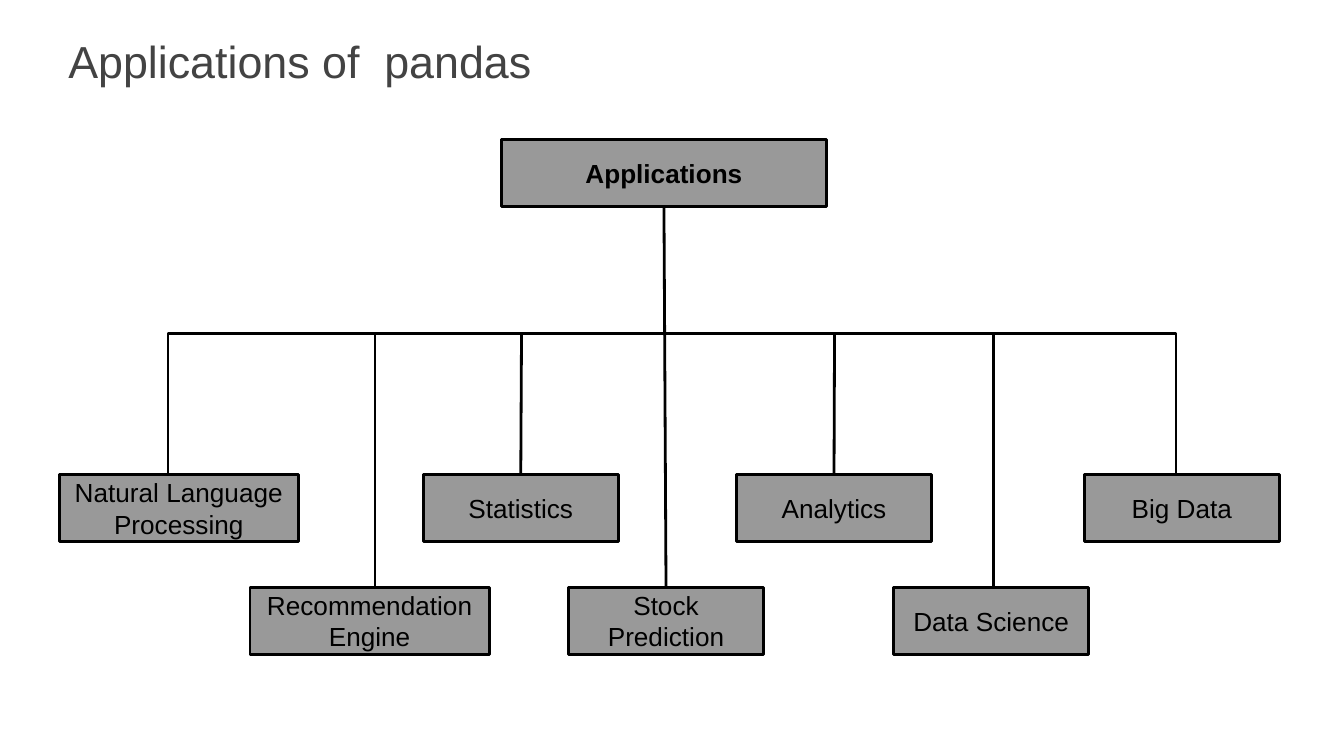
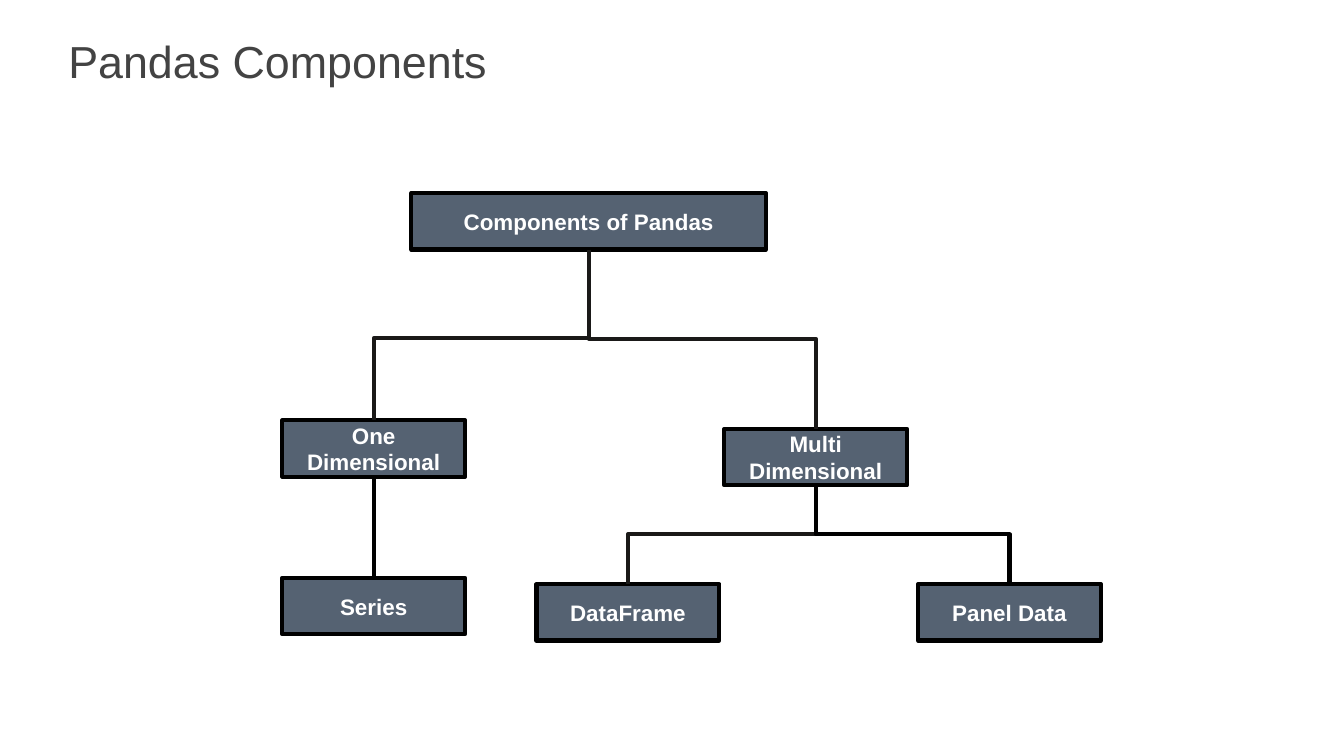
from dataclasses import dataclass

from lxml import etree
from pptx import Presentation
from pptx.dml.color import RGBColor
from pptx.enum import shapes, text
from pptx.oxml import ns
from pptx.util import Pt

APPLICATIONS = "Applications of  pandas"
APPLICATIONS_ROOT = ("Applications", 268.6, 74.9, 174.2)
UPPER_ROW, LOWER_ROW = 254.2, 314.6
BUS_LEFT, BUS_RIGHT, BUS_TOP = 90, 630, 178.6
WIDE, NARROW = 128.2, 104.4
FIELDS = [
    ("Natural Language Processing", 31.7, UPPER_ROW, WIDE),
    ("Recommendation Engine", 133.9, LOWER_ROW, WIDE),
    ("Statistics", 226.8, UPPER_ROW, NARROW),
    ("Stock Prediction", 304.6, LOWER_ROW, NARROW),
    ("Analytics", 394.6, UPPER_ROW, NARROW),
    ("Data Science", 478.8, LOWER_ROW, NARROW),
    ("Big Data", 581, UPPER_ROW, NARROW),
]
DROPS = {"Recommendation Engine": 200.9, "Statistics": 279.4,
         "Analytics": 447.1, "Data Science": 532.1}

COMPONENTS = "Pandas Components"
PARTS = [
    ("Components of Pandas", 220.4, 103.5, 190),
    ("One Dimensional", 151.2, 225.2, 98),
    ("Multi Dimensional", 388, 229.8, 98),
    ("Series", 151.2, 309.6, 98),
    ("DataFrame", 287.4, 313, 98),
    ("Panel Data", 491.8, 313, 98),
]
BRANCHES = [
    ("Components of Pandas", "One Dimensional", 181.2, "soft"),
    ("Components of Pandas", "Multi Dimensional", 181.6, "soft"),
    ("Multi Dimensional", "DataFrame", 286.3, "soft"),
    ("Multi Dimensional", "Panel Data", 286.3, "line"),
]


@dataclass(frozen=True)
class Style:
    fill: str
    ink: str
    size: float
    weight: float
    height: float


class Theme:
    font = "Arial"
    title = "434343"
    title_size = 24
    inset = 7.2
    line = "000000"
    soft = "1A1918"
    grey = Style("999999", "000000", 14, 1.5, 36)
    slate = Style("556272", "FFFFFF", 12, 2.25, 30.2)


def rgb(value):
    return RGBColor.from_string(value)


def write(shape, words, size, color, bold=False, align=text.PP_ALIGN.LEFT,
          anchor=text.MSO_ANCHOR.TOP):
    tf = shape.text_frame
    tf.word_wrap = True
    tf.vertical_anchor = anchor
    tf.margin_left = tf.margin_right = Pt(Theme.inset)
    tf.margin_top = tf.margin_bottom = Pt(Theme.inset)
    p = tf.paragraphs[0]
    p.alignment = align
    r = p.add_run()
    r.text = words
    r.font.name = Theme.font
    r.font.size = Pt(size)
    r.font.bold = bold
    r.font.color.rgb = rgb(color)


def stroke(shape, weight, color=Theme.line):
    shape.line.color.rgb = rgb(color)
    shape.line.width = Pt(weight)


def add_slide(prs, title):
    s = prs.slides.add_slide(prs.slide_layouts[6])
    box = s.shapes.add_textbox(Pt(29.5), Pt(10.8), Pt(587), Pt(41.8))
    write(box, title, Theme.title_size, Theme.title)
    return s


def add_box(s, label, left, top, width, style, bold):
    sp = s.shapes.add_shape(shapes.MSO_SHAPE.RECTANGLE, Pt(left), Pt(top),
                            Pt(width), Pt(style.height))
    sp.shadow.inherit = False
    sp.fill.solid()
    sp.fill.fore_color.rgb = rgb(style.fill)
    stroke(sp, style.weight)
    write(sp, label, style.size, style.ink, bold,
          text.PP_ALIGN.CENTER, text.MSO_ANCHOR.MIDDLE)
    return sp


def add_line(s, kind, x1, y1, x2, y2, weight, color=Theme.line):
    c = s.shapes.add_connector(kind, int(x1), int(y1), int(x2), int(y2))
    stroke(c, weight, color)
    etree.SubElement(c._element.spPr, ns.qn("a:effectLst"))
    return c


def bottom_center(sp):
    return sp.left + sp.width / 2, sp.top + sp.height


def join(s, upper, lower, weight):
    c = add_line(s, shapes.MSO_CONNECTOR.STRAIGHT, *bottom_center(upper),
                 lower.left + lower.width / 2, lower.top, weight)
    c.begin_connect(upper, 2)
    c.end_connect(lower, 0)


def branch(s, upper, lower, bar, weight, color):
    x1, y1 = bottom_center(upper)
    x2, y2 = lower.left + lower.width / 2, lower.top
    cx, cy = (x1 + x2) / 2, (y1 + y2) / 2
    half_run, half_rise = abs(x2 - x1) / 2, (y2 - y1) / 2
    side = 1 if x2 > x1 else -1
    c = add_line(s, shapes.MSO_CONNECTOR.ELBOW,
                 cx + side * half_rise, cy - half_run,
                 cx - side * half_rise, cy + half_run, weight, color)
    spPr = c._element.spPr
    spPr.find(ns.qn("a:xfrm")).set("rot", str((180 + 90 * side) * 60000))
    av = spPr.find(ns.qn("a:prstGeom")).find(ns.qn("a:avLst"))
    ratio = round((Pt(bar) - y1) / (y2 - y1) * 100000)
    etree.SubElement(av, ns.qn("a:gd"), name="adj1", fmla=f"val {ratio}")


def build_applications(prs):
    s = add_slide(prs, APPLICATIONS)
    style = Theme.grey
    fb = s.shapes.build_freeform(Pt(BUS_LEFT), Pt(UPPER_ROW))
    fb.add_line_segments([(Pt(BUS_LEFT), Pt(BUS_TOP)),
                          (Pt(BUS_RIGHT), Pt(BUS_TOP)),
                          (Pt(BUS_RIGHT), Pt(UPPER_ROW))], close=False)
    bus = fb.convert_to_shape()
    bus.shadow.inherit = False
    bus.fill.background()
    stroke(bus, style.weight)
    root = add_box(s, *APPLICATIONS_ROOT, style, True)
    boxes = {f[0]: add_box(s, *f, style, False) for f in FIELDS}
    for label, x in DROPS.items():
        box = boxes[label]
        c = add_line(s, shapes.MSO_CONNECTOR.STRAIGHT, Pt(x), Pt(BUS_TOP),
                     Pt(x), box.top, style.weight)
        if abs(box.left + box.width / 2 - Pt(x)) < Pt(1):
            c.end_connect(box, 0)
    join(s, root, boxes["Stock Prediction"], style.weight)


def build_components(prs):
    s = add_slide(prs, COMPONENTS)
    style = Theme.slate
    boxes = {part[0]: add_box(s, *part, style, True) for part in PARTS}
    join(s, boxes["One Dimensional"], boxes["Series"], style.weight)
    for upper, lower, bar, color in BRANCHES:
        branch(s, boxes[upper], boxes[lower], bar, style.weight,
               getattr(Theme, color))


def main():
    prs = Presentation()
    prs.slide_width, prs.slide_height = Pt(720), Pt(405)
    build_applications(prs)
    build_components(prs)
    prs.save("out.pptx")


if __name__ == "__main__":
    main()
